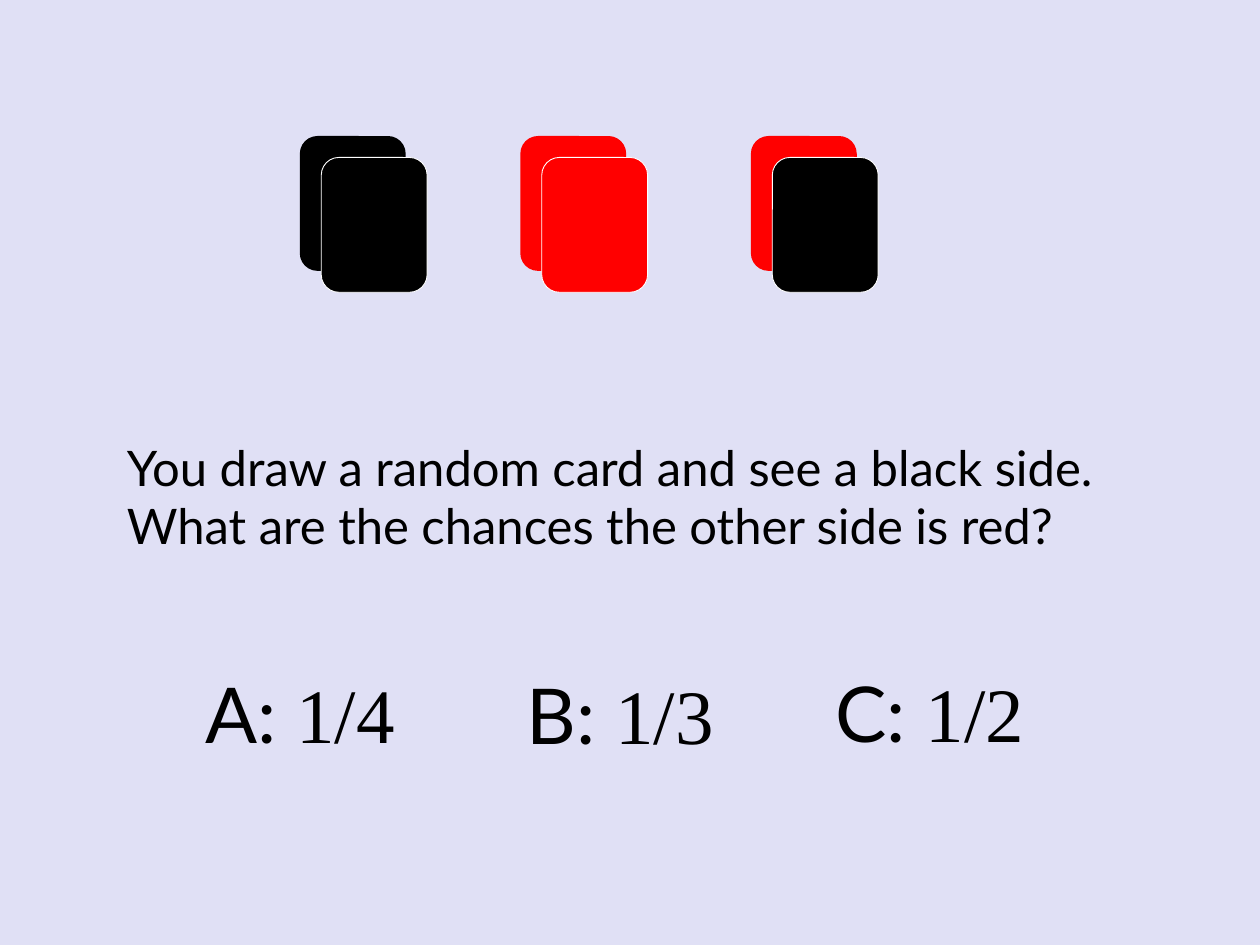
from pptx import Presentation
from pptx.dml.color import RGBColor
from pptx.enum.shapes import MSO_SHAPE
from pptx.enum.text import MSO_AUTO_SIZE
from pptx.util import Inches, Pt

ROUNDED = MSO_SHAPE.ROUNDED_RECTANGLE
GROW = MSO_AUTO_SIZE.SHAPE_TO_FIT_TEXT
BLANK_LAYOUT = 6
COLUMNS, ROWS = 100, 75

COLORS = {"background": "E0E0F5", "black": "000000", "red": "FF0000", "edge": "FFFFFF"}
BODY_FONT, NUMBER_FONT = "Lato", "Times New Roman"

CARD_SIZE = (8.4, 10.7)
CARD_TOP = 10.8
SIDE_OFFSET = 1.7
CARDS = [(23.8, "black", "black"), (41.3, "red", "red"), (59.6, "red", "black")]

QUESTION = ("You draw a random card and see a black side. "
            "What are the chances the other side is red?")
ANSWERS = [("A: ", "1/4", 15.3, 52.4), ("B: ", "1/3", 40.8, 52.5), ("C: ", "1/2", 65.3, 52.3)]


class QuizSlide:
    """Places cards and text on a grid of COLUMNS by ROWS."""

    def __init__(self, presentation):
        self.column = presentation.slide_width / COLUMNS
        self.row = presentation.slide_height / ROWS
        self.slide = presentation.slides.add_slide(presentation.slide_layouts[BLANK_LAYOUT])
        self.paint(self.slide.background.fill, "background")

    def paint(self, fill, color):
        fill.solid()
        fill.fore_color.rgb = RGBColor.from_string(COLORS[color])

    def box(self, left, top, width, height):
        """Turn grid units into slide lengths."""
        return (round(left * self.column), round(top * self.row),
                round(width * self.column), round(height * self.row))

    def side(self, left, top, color, edge=None):
        shape = self.slide.shapes.add_shape(ROUNDED, *self.box(left, top, *CARD_SIZE))
        shape.shadow.inherit = False
        self.paint(shape.fill, color)
        if edge:
            self.paint(shape.line.fill, edge)
            shape.line.width = Pt(0.5)
        else:
            shape.line.fill.background()

    def card(self, left, back, front):
        self.side(left, CARD_TOP, back)
        self.side(left + SIDE_OFFSET, CARD_TOP + SIDE_OFFSET, front, "edge")

    def text(self, position, runs, size, wrap):
        """Add one paragraph from (text, font name) pairs."""
        frame = self.slide.shapes.add_textbox(*self.box(*position)).text_frame
        for name, value in {"word_wrap": wrap, "auto_size": GROW}.items():
            setattr(frame, name, value)
        for text, font_name in runs:
            run = frame.paragraphs[0].add_run()
            run.text = text
            for name, value in {"name": font_name, "size": Pt(size)}.items():
                setattr(run.font, name, value)
            run.font.color.rgb = RGBColor.from_string(COLORS["black"])


def main():
    presentation = Presentation()
    presentation.slide_width, presentation.slide_height = Inches(10), Inches(7.5)
    quiz = QuizSlide(presentation)
    quiz.text((9.1, 34.2, 81, 10.4), [(QUESTION, BODY_FONT)], size=28, wrap=True)
    for left, back, front in CARDS:
        quiz.card(left, back, front)
    for letter, chance, left, top in ANSWERS:
        runs = [(letter, BODY_FONT), (chance, NUMBER_FONT)]
        quiz.text((left, top, 17.7, 8.4), runs, size=44, wrap=False)
    presentation.save("out.pptx")


if __name__ == "__main__":
    main()
